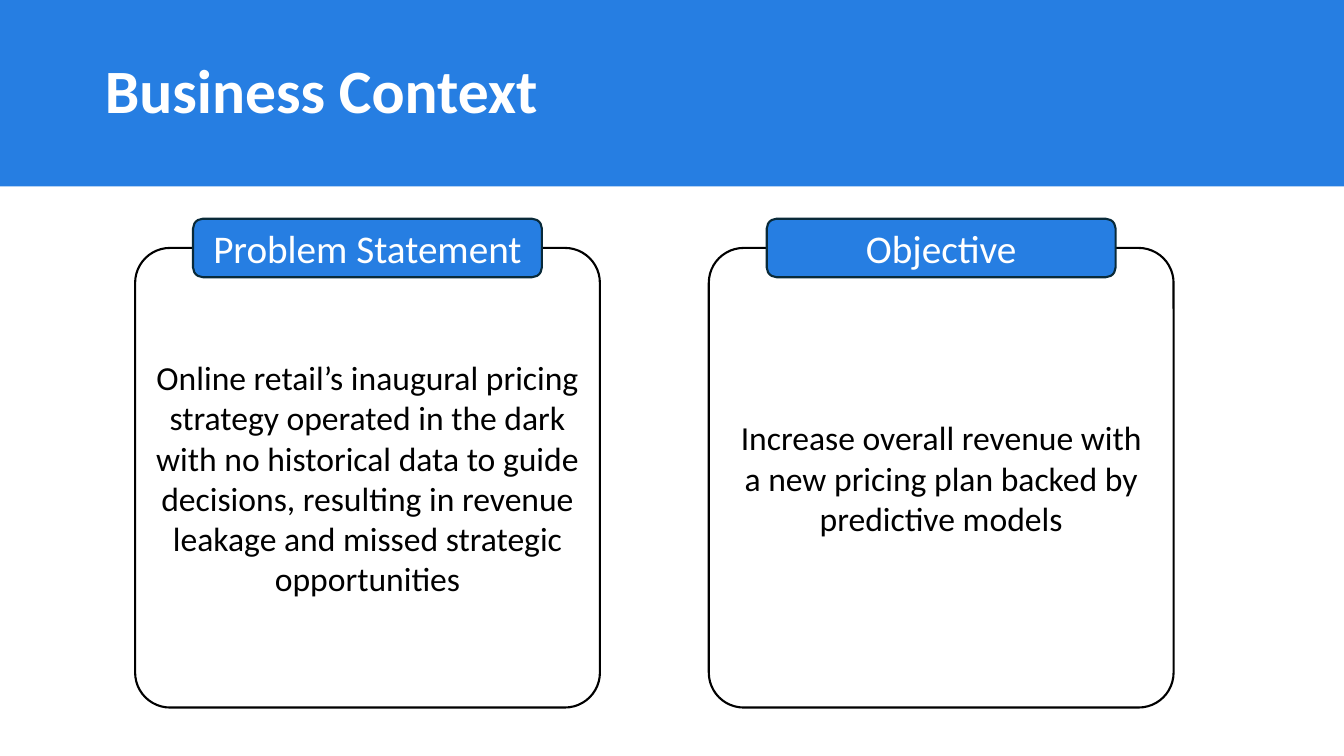
import pptx
import pptx.dml.color
import pptx.enum.shapes
import pptx.enum.text
import pptx.util

SLIDE_WIDTH, SLIDE_HEIGHT = 13.33, 7.5
FONT = "Calibri"
BLUE, NAVY, WHITE, BLACK = "267EE2", "092A39", "FFFFFF", "000000"
BAND_HEIGHT = 1.85
CARD_LEFT, CARD_TOP, CARD_PITCH = 1.34, 2.46, 5.69
CARD_WIDTH, CARD_HEIGHT = 4.61, 4.56
LABEL_WIDTH, LABEL_HEIGHT = 3.46, 0.58
CARDS = [
    ("Problem Statement",
     "Online retail’s inaugural pricing strategy operated in the dark with no "
     "historical data to guide decisions, resulting in revenue leakage and "
     "missed strategic opportunities"),
    ("Objective",
     "Increase overall revenue with a new pricing plan backed by predictive models"),
]
SHAPES = pptx.enum.shapes.MSO_SHAPE
ALIGN = pptx.enum.text.PP_ALIGN


def color(hex_value):
    return pptx.dml.color.RGBColor.from_string(hex_value)


def box(left, top, width, height):
    return [pptx.util.Inches(length) for length in (left, top, width, height)]


def add_panel(slide, kind, bounds, fill, line=None):
    shape = slide.shapes.add_shape(kind, *box(*bounds))
    shape.shadow.inherit = False
    shape.fill.solid()
    shape.fill.fore_color.rgb = color(fill)
    if line:
        shape.line.color.rgb = color(line)
        shape.line.width = pptx.util.Pt(1.5)
    else:
        shape.line.fill.background()
    return shape


def write_text(shape, text, size, font_color, alignment, bold=False):
    frame = shape.text_frame
    frame.text = text
    frame.word_wrap = True
    frame.auto_size = pptx.enum.text.MSO_AUTO_SIZE.NONE
    frame.vertical_anchor = pptx.enum.text.MSO_ANCHOR.MIDDLE
    paragraph = frame.paragraphs[0]
    paragraph.alignment = alignment
    paragraph.font.name = FONT
    paragraph.font.size = pptx.util.Pt(size)
    paragraph.font.bold = bold
    paragraph.font.color.rgb = color(font_color)
    return paragraph


def add_header(slide, text):
    band = add_panel(slide, SHAPES.RECTANGLE, (0, 0, SLIDE_WIDTH, BAND_HEIGHT), BLUE)
    title = slide.shapes.title
    title._element.addprevious(band._element)
    title.left, title.top, title.width, title.height = box(0.94, 0.2, 11.5, 1.45)
    paragraph = write_text(title, text, 44, WHITE, ALIGN.LEFT, bold=True)
    paragraph.line_spacing = 0.9


def add_card(slide, column, label, body):
    left = CARD_LEFT + column * CARD_PITCH
    card = add_panel(slide, SHAPES.ROUNDED_RECTANGLE,
                     (left, CARD_TOP, CARD_WIDTH, CARD_HEIGHT), WHITE, BLACK)
    card.adjustments[0] = 0.076
    write_text(card, body, 24, BLACK, ALIGN.CENTER)
    label_left = left + (CARD_WIDTH - LABEL_WIDTH) / 2
    label_top = CARD_TOP - LABEL_HEIGHT / 2
    tab = add_panel(slide, SHAPES.ROUNDED_RECTANGLE,
                    (label_left, label_top, LABEL_WIDTH, LABEL_HEIGHT), BLUE, NAVY)
    write_text(tab, label, 28, WHITE, ALIGN.CENTER)


def main():
    presentation = pptx.Presentation()
    presentation.slide_width = pptx.util.Inches(SLIDE_WIDTH)
    presentation.slide_height = pptx.util.Inches(SLIDE_HEIGHT)
    slide = presentation.slides.add_slide(presentation.slide_layouts.get_by_name("Title Only"))
    add_header(slide, "Business Context")
    for column, (label, body) in enumerate(CARDS):
        add_card(slide, column, label, body)
    presentation.save("out.pptx")


if __name__ == "__main__":
    main()
